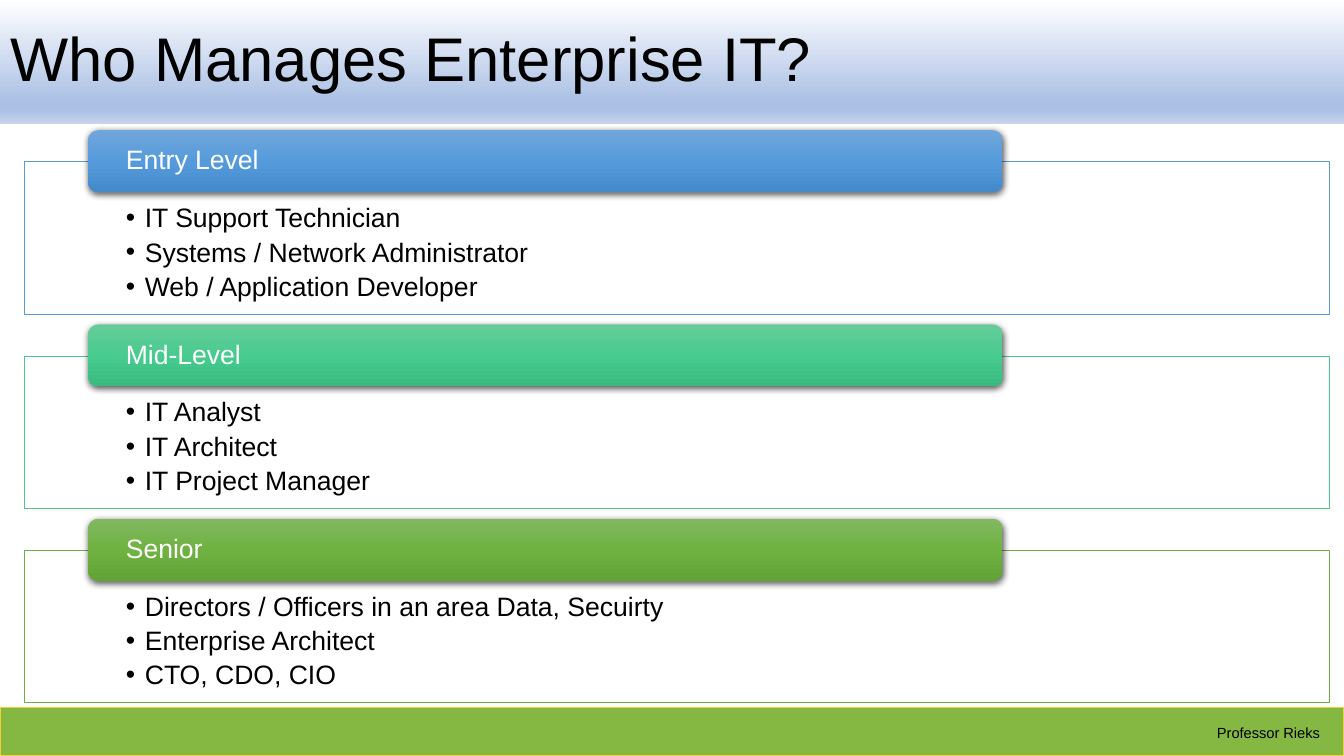
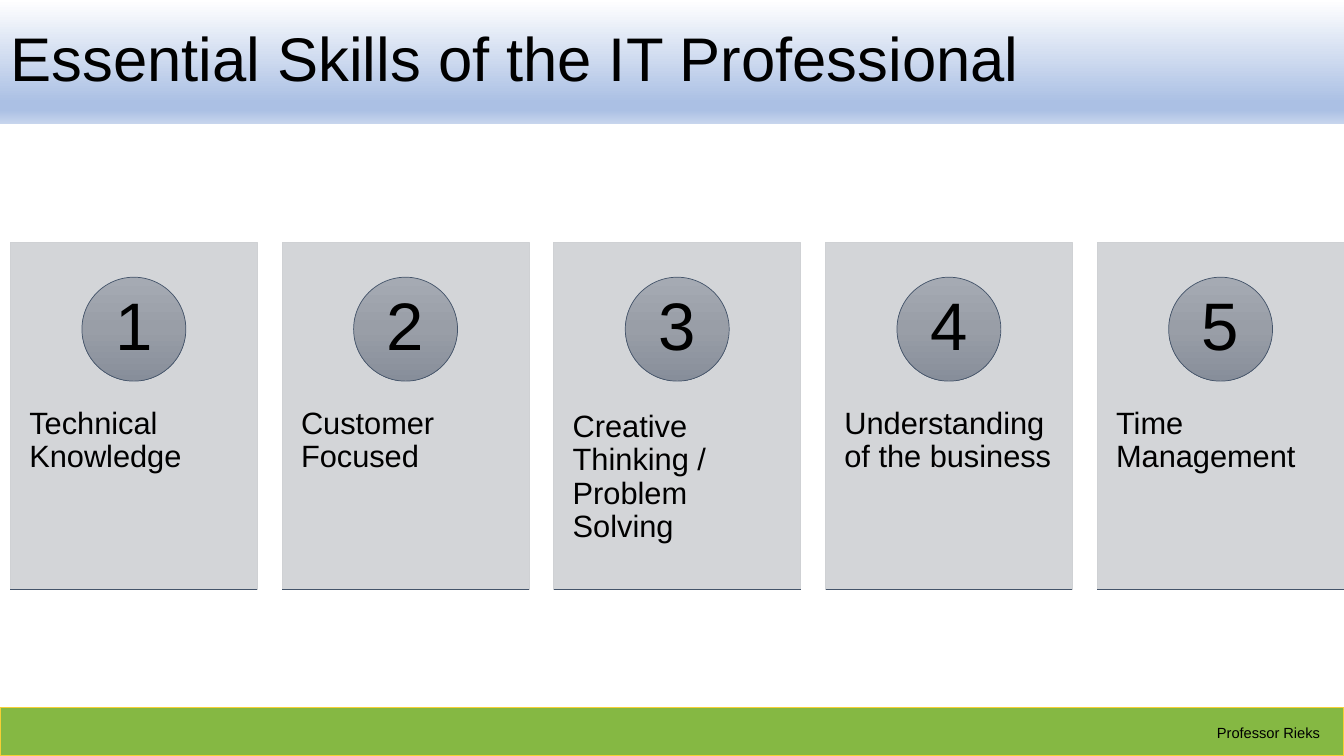
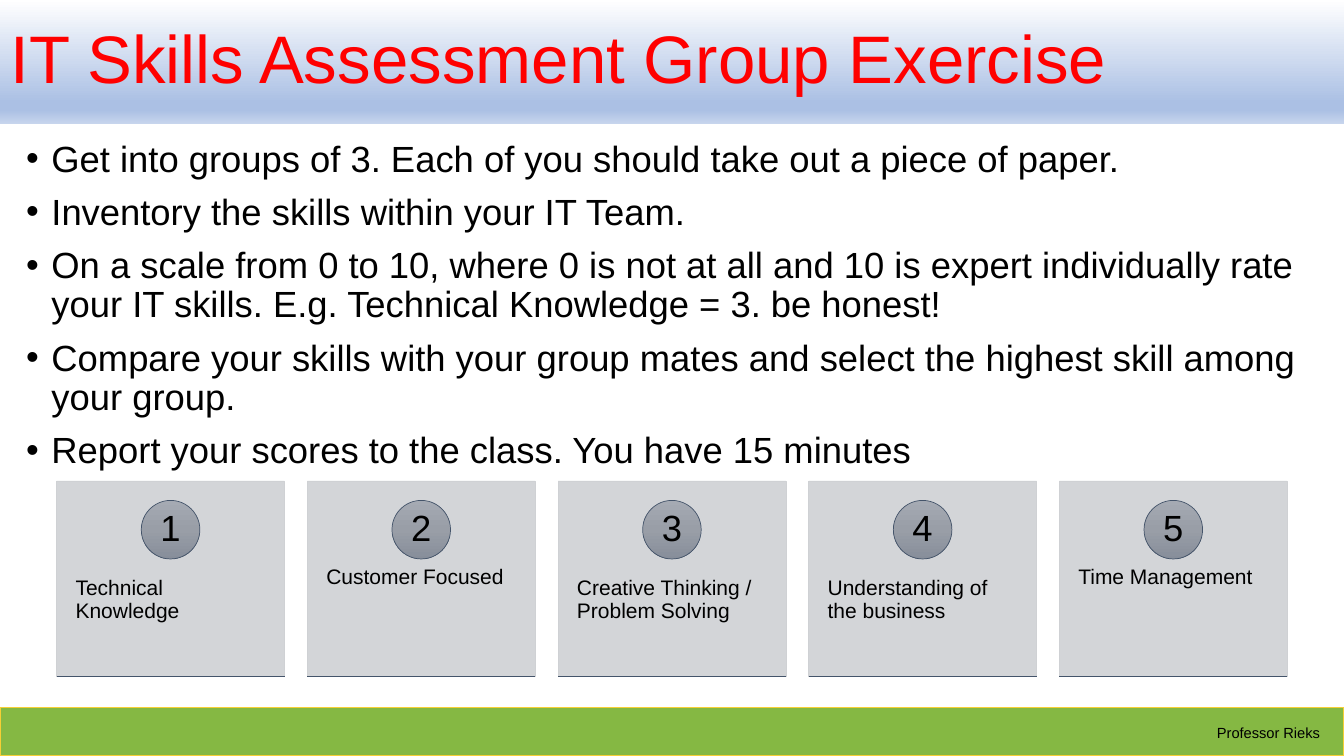
from dataclasses import dataclass

from lxml.etree import SubElement
from pptx import Presentation
from pptx.dml.color import RGBColor
from pptx.enum.shapes import MSO_CONNECTOR, MSO_SHAPE
from pptx.enum.text import MSO_ANCHOR, PP_ALIGN
from pptx.oxml.ns import qn
from pptx.util import Emu, Pt

EMU_PER_PX = 9525
SLIDE_WIDTH, SLIDE_HEIGHT = 1280, 720


@dataclass(frozen=True)
class Theme:
    font: str = "Arial"
    black: str = "000000"
    white: str = "FFFFFF"
    red: str = "FF0000"
    footer: str = "85B843"
    footer_line: str = "F6CF35"
    card: str = "CFD1D4"
    slate: str = "44546A"
    title_stops: tuple = ((0, "FFFFFF"), (83, "ABC0E4"), (89, "ABC0E4"), (100, "C7D5ED"))
    disc_stops: tuple = ((0, "A5AAB3"), (50, "999EA7"), (100, "878E9A"))
    blue_stops: tuple = ((0, "71A6DB"), (50, "559BDB"), (100, "448ACA"))
    teal_stops: tuple = ((0, "67CC9A"), (50, "47CB8E"), (100, "39BB7F"))
    green_stops: tuple = ((0, "81B861"), (50, "6FB242"), (100, "62A336"))
    blue_line: str = "5B9BD5"
    teal_line: str = "4DC58D"
    green_line: str = "70AD47"
    title_size: float = 44
    exercise_title_size: float = 48
    body_size: float = 26
    level_size: float = 19
    footer_size: float = 10.5


THEME = Theme()

LEVELS = (
    ("Entry Level", THEME.blue_stops, THEME.blue_line,
     ("IT Support Technician", "Systems / Network Administrator", "Web / Application Developer")),
    ("Mid-Level", THEME.teal_stops, THEME.teal_line,
     ("IT Analyst", "IT Architect", "IT Project Manager")),
    ("Senior", THEME.green_stops, THEME.green_line,
     ("Directors / Officers in an area Data, Secuirty", "Enterprise Architect", "CTO, CDO, CIO")),
)
SKILLS = (
    "Technical Knowledge",
    "Customer Focused",
    "Creative Thinking / Problem Solving",
    "Understanding of the business",
    "Time Management",
)
EXERCISE_STEPS = (
    "Get into groups of 3. Each of you should take out a piece of paper.",
    "Inventory the skills within your IT Team.",
    "On a scale from 0 to 10, where 0 is not at all and 10 is expert individually rate "
    "your IT skills. E.g. Technical Knowledge = 3. be honest!",
    "Compare your skills with your group mates and select the highest skill among your group.",
    "Report your scores to the class. You have 15 minutes",
)


def px(*lengths):
    return [Emu(round(length * EMU_PER_PX)) for length in lengths]


def set_gradient(shape, stops):
    """Fill from top to bottom with (percent, colour) stops."""
    shape.fill.gradient()
    shape.fill.gradient_angle = 270
    stop_list = shape.element.spPr.find(qn("a:gradFill")).find(qn("a:gsLst"))
    for stop in list(stop_list):
        stop_list.remove(stop)
    for percent, color in stops:
        stop = SubElement(stop_list, qn("a:gs"), pos=str(percent * 1000))
        SubElement(stop, qn("a:srgbClr"), val=color)


def set_opacity(shape, percent):
    color = shape.element.spPr.find(qn("a:solidFill")).find(qn("a:srgbClr"))
    SubElement(color, qn("a:alpha"), val=str(percent * 1000))


def set_shadow(shape):
    effects = shape.element.spPr.find(qn("a:effectLst"))
    shadow = SubElement(effects, qn("a:outerShdw"), blurRad=str(Pt(4.5)), dist=str(Pt(1.5)),
                        dir="5400000", rotWithShape="0")
    color = SubElement(shadow, qn("a:srgbClr"), val=THEME.black)
    SubElement(color, qn("a:alpha"), val="63000")


def add_block(slide, kind, box, fill, line=None, line_width=0.5):
    """Add a preset shape; fill is one colour or a tuple of gradient stops."""
    shape = slide.shapes.add_shape(kind, *px(*box))
    shape.shadow.inherit = False
    if isinstance(fill, str):
        shape.fill.solid()
        shape.fill.fore_color.rgb = RGBColor.from_string(fill)
    else:
        set_gradient(shape, fill)
    if line:
        shape.line.color.rgb = RGBColor.from_string(line)
        shape.line.width = Pt(line_width)
    else:
        shape.line.fill.background()
    return shape


def add_bullet(paragraph, indent):
    properties = paragraph._p.get_or_add_pPr()
    properties.set("marL", str(indent))
    properties.set("indent", str(-indent))
    SubElement(properties, qn("a:buFont"), typeface=THEME.font)
    SubElement(properties, qn("a:buChar"), char="•")


def write_text(shape, lines, size, color=THEME.black, insets=(10, 5, 10, 5),
               anchor=MSO_ANCHOR.TOP, align=PP_ALIGN.LEFT, wrap=True,
               line_spacing=0.9, before=0, after=0, bullet_indent=0):
    frame = shape.text_frame
    frame.text = "\n".join(lines)
    frame.word_wrap = wrap
    frame.vertical_anchor = anchor
    (frame.margin_left, frame.margin_top,
     frame.margin_right, frame.margin_bottom) = px(*insets)
    for paragraph in frame.paragraphs:
        paragraph.alignment = align
        paragraph.line_spacing = line_spacing
        paragraph.space_before = Pt(before)
        paragraph.space_after = Pt(after)
        if bullet_indent:
            add_bullet(paragraph, *px(bullet_indent))
        for run in paragraph.runs:
            run.font.name = THEME.font
            run.font.size = Pt(size)
            run.font.color.rgb = RGBColor.from_string(color)


def add_text(slide, box, lines, size, **style):
    write_text(slide.shapes.add_textbox(*px(*box)), lines, size, **style)


def add_rule(slide, left, top, width):
    rule = slide.shapes.add_connector(MSO_CONNECTOR.STRAIGHT, *px(left, top, left + width, top))
    rule.line.color.rgb = RGBColor.from_string(THEME.slate)
    rule.line.width = Pt(0.5)
    SubElement(rule.element.spPr, qn("a:effectLst"))


def add_titled_slide(presentation, title, size=THEME.title_size, color=THEME.black):
    """Add a slide with the footer and title bands that all slides share."""
    slide = presentation.slides.add_slide(presentation.slide_layouts[6])
    add_block(slide, MSO_SHAPE.RECTANGLE, (0, 674, SLIDE_WIDTH, 46),
              THEME.footer, THEME.footer_line, 1)
    add_text(slide, (1149, 684, 126, 28), ["Professor Rieks"], THEME.footer_size,
             wrap=False, line_spacing=1.0)
    band = add_block(slide, MSO_SHAPE.RECTANGLE, (0, 0, SLIDE_WIDTH, 118), THEME.title_stops)
    write_text(band, [title], size, color, anchor=MSO_ANCHOR.MIDDLE)
    return slide


def add_level(slide, top, name, stops, line, roles):
    """Add a framed list of roles with a coloured tab over its top edge."""
    panel = add_block(slide, MSO_SHAPE.RECTANGLE, (23, top + 30, 1243, 145), THEME.white, line)
    set_opacity(panel, 90)
    write_text(panel, roles, THEME.level_size, insets=(97, 41, 97, 14),
               after=4, bullet_indent=18)
    tab = add_block(slide, MSO_SHAPE.ROUNDED_RECTANGLE, (84, top, 871, 59), stops)
    set_shadow(tab)
    write_text(tab, [name], THEME.level_size, THEME.white, insets=(33, 0, 33, 0),
               anchor=MSO_ANCHOR.MIDDLE)


def add_skill_card(slide, box, number, skill, number_size, label_size):
    left, top, width, height = box
    card = add_block(slide, MSO_SHAPE.RECTANGLE, box, THEME.card, THEME.card)
    set_opacity(card, 90)
    add_text(slide, (left, top + 0.38 * height, width, 0.6 * height), [skill], label_size,
             insets=(18, 35, 18, 35))
    diameter = 0.3 * height
    disc = add_block(slide, MSO_SHAPE.OVAL,
                     (left + (width - diameter) / 2, top + 0.1 * height, diameter, diameter),
                     THEME.disc_stops, THEME.slate)
    write_text(disc, [str(number)], number_size, insets=(0, 0, 0, 0),
               anchor=MSO_ANCHOR.MIDDLE, align=PP_ALIGN.CENTER, wrap=False)
    add_rule(slide, left, top + height, width)


def add_skill_row(slide, left, right, top, width, height, number_size, label_size):
    """Spread the skill cards evenly between left and right."""
    pitch = (right - left - width) / (len(SKILLS) - 1)
    for index, skill in enumerate(SKILLS):
        add_skill_card(slide, (left + index * pitch, top, width, height),
                       index + 1, skill, number_size, label_size)


def main():
    presentation = Presentation()
    presentation.slide_width, presentation.slide_height = px(SLIDE_WIDTH, SLIDE_HEIGHT)

    slide = add_titled_slide(presentation, "Who Manages Enterprise IT?")
    for index, level in enumerate(LEVELS):
        add_level(slide, 124 + index * 185, *level)

    slide = add_titled_slide(presentation, "Essential Skills of the IT Professional")
    add_skill_row(slide, left=10, right=SLIDE_WIDTH, top=231, width=235, height=330,
                  number_size=48, label_size=22)

    slide = add_titled_slide(presentation, "IT Skills Assessment Group Exercise",
                             THEME.exercise_title_size, THEME.red)
    add_text(slide, (15, 129, 1231, 319), EXERCISE_STEPS, THEME.body_size,
             before=10, bullet_indent=24)
    add_skill_row(slide, left=54, right=1226, top=458, width=217, height=186,
                  number_size=26, label_size=15)

    presentation.save("out.pptx")


if __name__ == "__main__":
    main()
